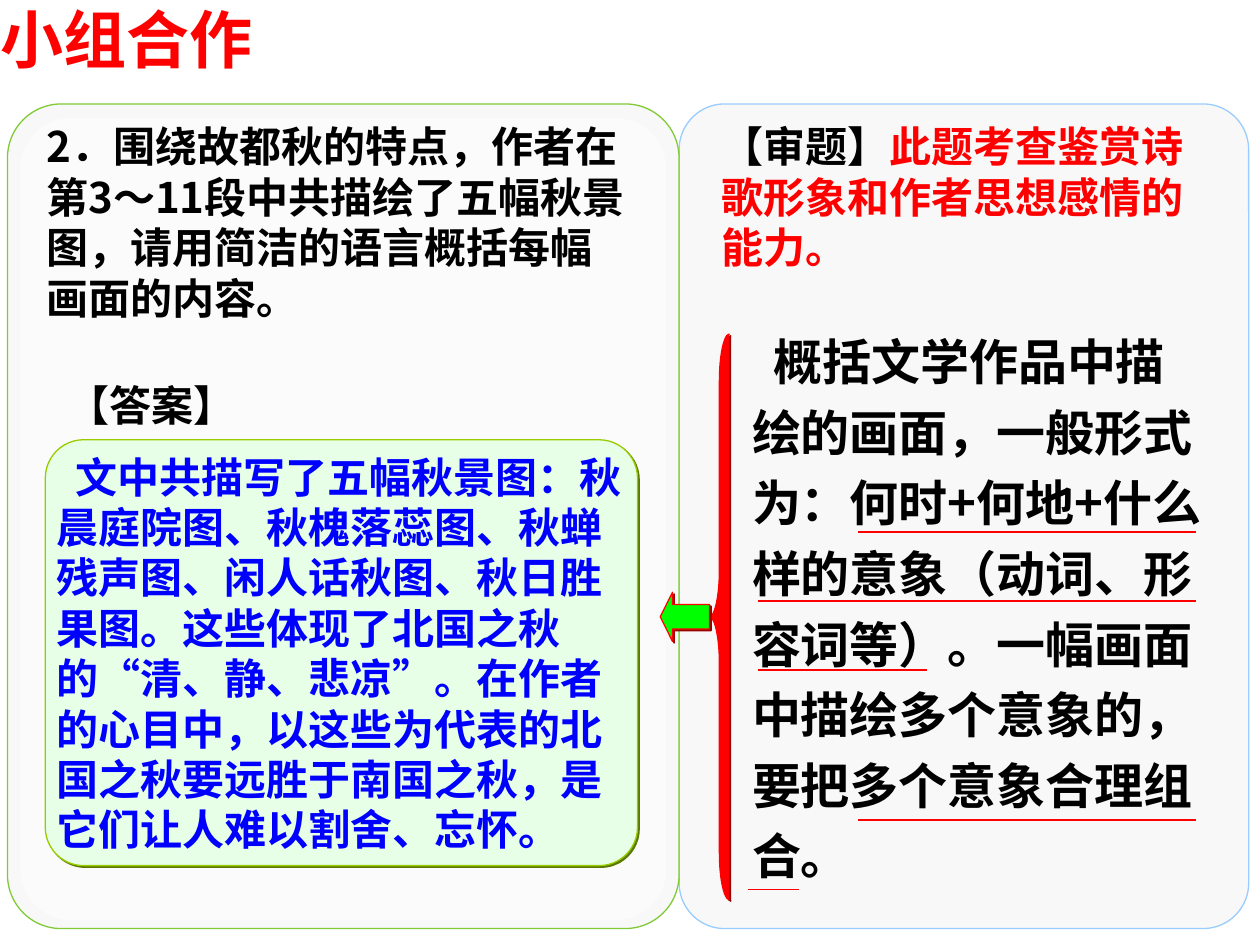
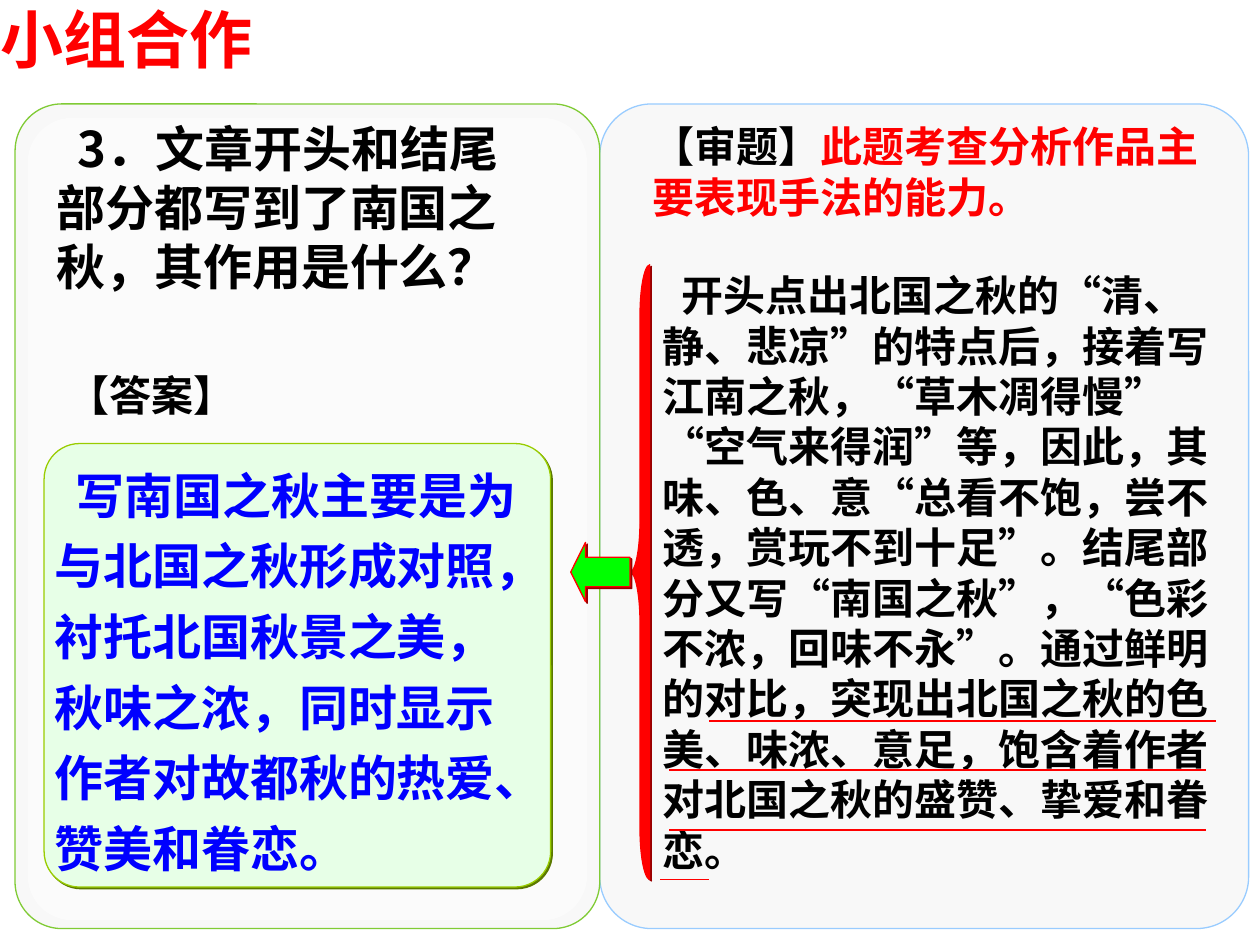
from lxml.etree import SubElement
from pptx import Presentation
from pptx.dml.color import RGBColor
from pptx.enum.shapes import MSO_CONNECTOR, MSO_SHAPE
from pptx.enum.text import MSO_ANCHOR, MSO_AUTO_SIZE, PP_ALIGN
from pptx.oxml.ns import qn
from pptx.util import Inches, Pt

SLIDE_WIDTH, SLIDE_HEIGHT = Inches(10), Inches(7.5)
COLUMN, ROW = SLIDE_WIDTH / 100, SLIDE_HEIGHT / 75

BLACK = RGBColor(0, 0, 0)
WHITE = RGBColor(255, 255, 255)
RED = RGBColor(255, 0, 0)
BLUE = RGBColor(0, 0, 255)
LIME = RGBColor(0, 255, 0)
PANEL_GREY = RGBColor(0xF8, 0xF8, 0xF8)
PANEL_GREEN = RGBColor(0x80, 0xCB, 0x35)
PANEL_BLUE = RGBColor(0x99, 0xCC, 0xFF)
CARD_FILL = RGBColor(0xE7, 0xFF, 0xE7)
CARD_LINE = RGBColor(0x99, 0xCC, 0x00)
CARD_SHADOW = RGBColor(0x5B, 0x79, 0x00)
RED_SHADOW = RGBColor(0x98, 0, 0)
TEXT_SHADOW = RGBColor(0xC0, 0xC0, 0xC0)

CJK_FONT = "Noto Sans CJK SC"
LATIN_FONT = "Arial"
PADDING = (0.1, 0.05)
PANEL_TOP, PANEL_HEIGHT, PANEL_RIGHT = 8.25, 65.45, 99.1


def grid(left, top, width, height):
    return [round(n) for n in (left * COLUMN, top * ROW, width * COLUMN, height * ROW)]


def add_shadow(effects, color, distance):
    shadow = SubElement(effects, qn("a:outerShdw"), blurRad="0",
                        dist=str(Pt(distance)), dir="2700000", algn="ctr", rotWithShape="0")
    SubElement(shadow, qn("a:srgbClr"), val=str(color))


def add_span(para, text, size, color, font, shadow):
    span = para.add_run()
    span.text = text
    span.font.size = Pt(size)
    span.font.bold = True
    span.font.color.rgb = color
    span.font.name = font
    properties = span._r.get_or_add_rPr()
    properties.set("lang", "zh-CN")
    east_asian = SubElement(properties, qn("a:ea"), typeface=CJK_FONT)
    properties.find(qn("a:latin")).addnext(east_asian)
    if shadow:
        effects = SubElement(properties, qn("a:effectLst"))
        properties.find(qn("a:solidFill")).addnext(effects)
        add_shadow(effects, TEXT_SHADOW, 2)


def write(box, *paragraphs, size=24, color=BLACK, font=CJK_FONT, shadow=True,
          indent=0, spacing=None, anchor=MSO_ANCHOR.TOP, padding=PADDING, wrap=True):
    frame = box.text_frame
    frame.auto_size = MSO_AUTO_SIZE.NONE
    frame.word_wrap = wrap
    frame.vertical_anchor = anchor
    frame.margin_left = frame.margin_right = Inches(padding[0])
    frame.margin_top = frame.margin_bottom = Inches(padding[1])
    for number, spans in enumerate(paragraphs):
        para = frame.add_paragraph() if number else frame.paragraphs[0]
        para.alignment = PP_ALIGN.LEFT
        if spacing:
            para.line_spacing = spacing
        if indent and number == 0:
            properties = para._p.get_or_add_pPr()
            properties.set("marL", "0")
            properties.set("indent", str(Inches(indent)))
        if isinstance(spans, str):
            spans = [(spans, color)]
        for text, span_color in spans:
            add_span(para, text, size, span_color, font, shadow)


def add_text(page, place, *paragraphs, **text_format):
    write(page.shapes.add_textbox(*grid(*place)), *paragraphs, **text_format)


def add_preset(page, kind, place, fill, line=None, adjustments=(), shadow=None):
    shape = page.shapes.add_shape(kind, *grid(*place))
    for number, value in enumerate(adjustments):
        shape.adjustments[number] = value
    shape.fill.solid()
    shape.fill.fore_color.rgb = fill
    if line is None:
        shape.line.fill.background()
    else:
        shape.line.color.rgb = line
        shape.line.width = Pt(0.75)
    shape.shadow.inherit = False
    if shadow is not None:
        add_shadow(shape._element.spPr.find(qn("a:effectLst")), shadow, 1.4)
    return shape


def add_panels(page, left, split):
    rounded = MSO_SHAPE.ROUNDED_RECTANGLE
    add_preset(page, rounded, (split, PANEL_TOP, PANEL_RIGHT - split, PANEL_HEIGHT),
               PANEL_GREY, PANEL_BLUE, [0.08])
    add_preset(page, rounded, (left, PANEL_TOP, split - left, PANEL_HEIGHT),
               PANEL_GREY, PANEL_GREEN, [0.08])
    gloss = add_preset(page, rounded, (left + 1, PANEL_TOP + 1.1, split - left - 2, 63.7),
                       WHITE, adjustments=[0.08])
    color = gloss._element.spPr.find(qn("a:solidFill"))[0]
    SubElement(color, qn("a:alpha"), val="50000")


def add_title(page, text):
    title = page.shapes.title
    title.left, title.top, title.width, title.height = grid(0, 0, 33.5, 6)
    write(title, text, size=36, color=RED, font=LATIN_FONT, padding=(0, 0))


def add_answer(page, label_top, place, text, radius, **text_format):
    add_text(page, (4.4, label_top, 15.3, 5), "【答案】", font=LATIN_FONT, wrap=False)
    card = add_preset(page, MSO_SHAPE.ROUNDED_RECTANGLE, place, CARD_FILL, CARD_LINE,
                      [radius], CARD_SHADOW)
    write(card, text, color=BLUE, shadow=False, anchor=MSO_ANCHOR.MIDDLE,
          padding=(0, 0), **text_format)


def add_focus(page, place, text):
    add_text(page, place, [("【审题】", BLACK), (text, RED)], font=LATIN_FONT)


def add_underlines(page, lines):
    for start, end, level in lines:
        left, top, right, bottom = grid(start, level, end, level)
        line = page.shapes.add_connector(MSO_CONNECTOR.STRAIGHT, left, top, right, bottom)
        line.line.color.rgb = RED
        line.line.width = Pt(1)
        SubElement(line._element.spPr, qn("a:effectLst"))


def add_brace_arrow(page, left, top, height, arrow):
    width = 1.6
    add_preset(page, MSO_SHAPE.LEFT_BRACE, (left, top, width, height), RED, RED,
               [height / 12 / width, 0.5], RED_SHADOW)
    add_preset(page, MSO_SHAPE.LEFT_ARROW,
               (left - arrow, top + (height - arrow) / 2, arrow, arrow),
               LIME, RED, [0.5, 0.25], RED_SHADOW)


def new_page(deck, left, split):
    page = deck.slides.add_slide(deck.slide_layouts[5])
    add_panels(page, left, split)
    add_title(page, "小组合作")
    return page


def build_five_scenes(deck):
    page = new_page(deck, 0.6, 53.9)
    add_text(page, (2.7, 9.1, 48, 17),
             "2．围绕故都秋的特点，作者在第3～11段中共描绘了五幅秋景图，请用简洁的语言概括每幅画面的内容。",
             anchor=MSO_ANCHOR.MIDDLE)
    add_answer(page, 29.6, (3.6, 34.9, 47, 33.8),
               "文中共描写了五幅秋景图：秋晨庭院图、秋槐落蕊图、秋蝉残声图、闲人话秋图、秋日胜果图。"
               "这些体现了北国之秋的“清、静、悲凉”。在作者的心目中，以这些为代表的北国之秋要远胜于南国之秋，"
               "是它们让人难以割舍、忘怀。", 0.09, indent=0.15)
    add_focus(page, (56.3, 9.1, 41.7, 13), "此题考查鉴赏诗歌形象和作者思想感情的能力。")
    add_text(page, (58.7, 24.9, 37.9, 45.8),
             "概括文学作品中描绘的画面，一般形式为：何时+何地+什么样的意象（动词、形容词等）。"
             "一幅画面中描绘多个意象的，要把多个意象合理组合。",
             size=28, indent=0.17, spacing=1.2)
    add_underlines(page, [(68.1, 94.9, 42.2), (60.2, 94.9, 47.7), (60.2, 73.6, 53.2),
                          (68.1, 94.9, 65.1), (59.4, 63.4, 70.6)])
    add_brace_arrow(page, 56.3, 26.5, 44.9, 3.9)


def build_southern_autumn(deck):
    page = new_page(deck, 1.2, 47.6)
    add_text(page, (3.5, 8.9, 40.2, 15),
             "3．文章开头和结尾部分都写到了南国之秋，其作用是什么？",
             size=28, indent=0.17, anchor=MSO_ANCHOR.MIDDLE)
    add_answer(page, 28.8, (3.5, 35.2, 40.2, 35.2),
               "写南国之秋主要是为与北国之秋形成对照，衬托北国秋景之美，秋味之浓，"
               "同时显示作者对故都秋的热爱、赞美和眷恋。",
               0.08, size=28, indent=0.17, spacing=1.2)
    add_focus(page, (50.8, 9.1, 46.5, 9), "此题考查分析作品主要表现手法的能力。")
    add_text(page, (51.6, 20.9, 46.5, 49),
             "开头点出北国之秋的“清、静、悲凉”的特点后，接着写江南之秋，“草木凋得慢”",
             "“空气来得润”等，因此，其味、色、意“总看不饱，尝不透，赏玩不到十足”。"
             "结尾部分又写“南国之秋”，“色彩不浓，回味不永”。通过鲜明的对比，"
             "突现出北国之秋的色美、味浓、意足，饱含着作者对北国之秋的盛赞、挚爱和眷恋。",
             indent=0.15, anchor=MSO_ANCHOR.MIDDLE)
    add_underlines(page, [(56.3, 96.5, 57.2), (53.1, 95.7, 61.1),
                          (53.1, 95.7, 65.9), (52.4, 56.3, 69.8)])
    add_brace_arrow(page, 50, 21, 48.8, 4.7)


def main():
    deck = Presentation()
    deck.slide_width, deck.slide_height = SLIDE_WIDTH, SLIDE_HEIGHT
    build_five_scenes(deck)
    build_southern_autumn(deck)
    deck.save("out.pptx")


if __name__ == "__main__":
    main()
